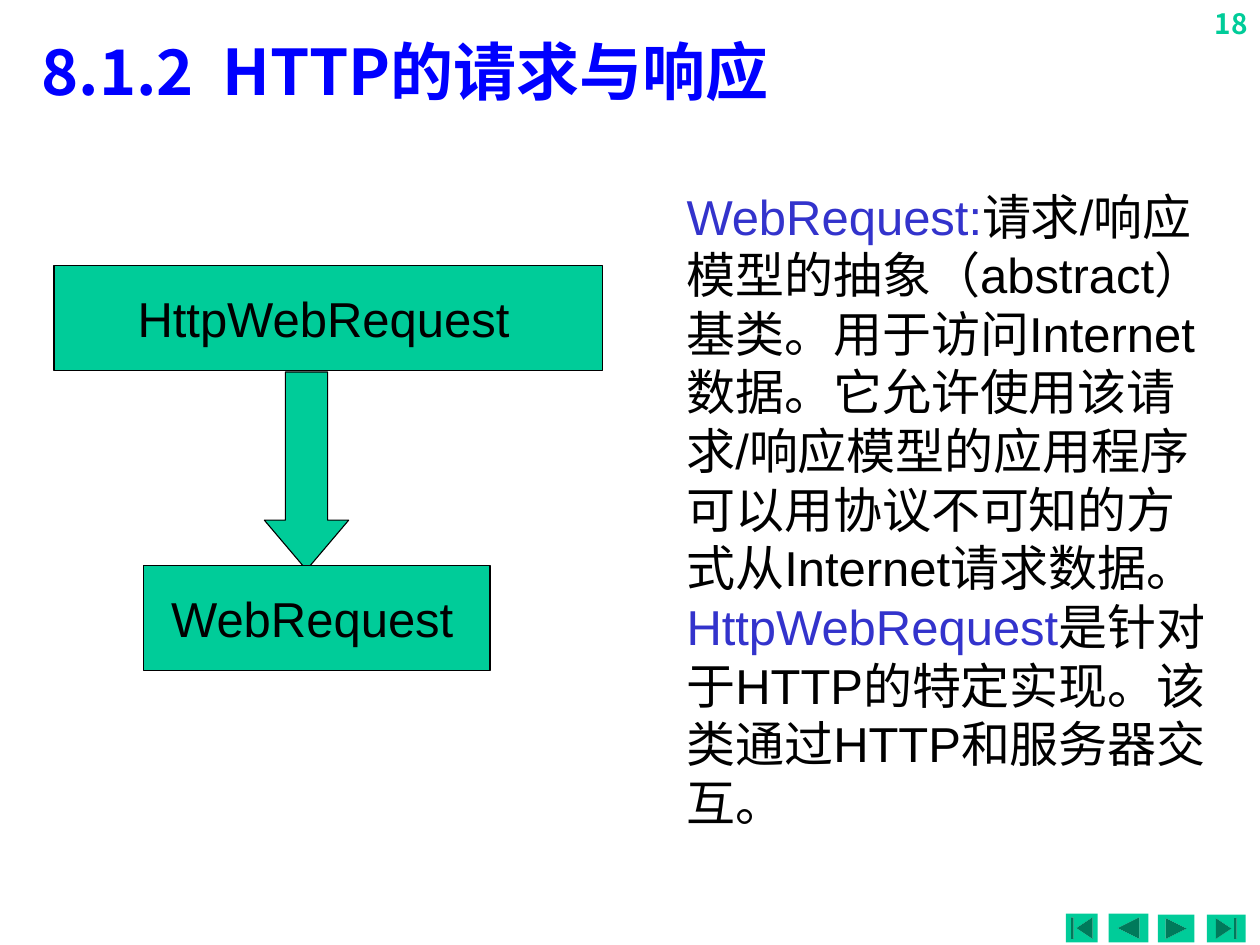
from dataclasses import dataclass

import pptx
import pptx.dml.color
import pptx.enum.lang
import pptx.enum.shapes
import pptx.enum.text
import pptx.oxml
import pptx.oxml.ns
import pptx.util

Cm = pptx.util.Cm
Pt = pptx.util.Pt
MSO_SHAPE = pptx.enum.shapes.MSO_SHAPE
PP_ALIGN = pptx.enum.text.PP_ALIGN
MSO_ANCHOR = pptx.enum.text.MSO_ANCHOR
MSO_AUTO_SIZE = pptx.enum.text.MSO_AUTO_SIZE

GREEN = "00CC99"
BLACK = "000000"
TERM_BLUE = "3333CC"
TITLE_BLUE = "0000FF"
LATIN_FONT = "Arial"
CHINESE_FONT = "Noto Sans CJK SC"
NUMBER_FONT = "Noto Sans CJK KR"


@dataclass
class Block:
    """A preset shape with its place in centimetres."""
    kind: int
    left: float
    top: float
    width: float
    height: float
    label: str = ""
    outlined: bool = True


@dataclass
class Definition:
    term: str
    explanation: str


BLOCKS = [
    Block(MSO_SHAPE.RECTANGLE, 1.09, 5.36, 11.05, 2.11, "HttpWebRequest"),
    Block(MSO_SHAPE.DOWN_ARROW, 5.33, 7.5, 1.7, 3.99),
    Block(MSO_SHAPE.RECTANGLE, 2.9, 11.4, 6.98, 2.11, "WebRequest"),
]

NAVIGATION = [
    Block(MSO_SHAPE.ACTION_BUTTON_BEGINNING, 21.49, 18.42, 0.64, 0.58, outlined=False),
    Block(MSO_SHAPE.ACTION_BUTTON_BACK_OR_PREVIOUS, 22.35, 18.42, 0.8, 0.58, outlined=False),
    Block(MSO_SHAPE.ACTION_BUTTON_FORWARD_OR_NEXT, 23.34, 18.44, 0.74, 0.56, outlined=False),
    Block(MSO_SHAPE.ACTION_BUTTON_END, 24.33, 18.44, 0.78, 0.56, outlined=False),
]

DEFINITIONS = [
    Definition("WebRequest:", "请求/响应模型的抽象（abstract）基类。用于访问Internet数据。"
               "它允许使用该请求/响应模型的应用程序可以用协议不可知的方式从Internet请求数据。"),
    Definition("HttpWebRequest", "是针对于HTTP的特定实现。该类通过HTTP和服务器交互。"),
]


def color(value: str) -> pptx.dml.color.RGBColor:
    return pptx.dml.color.RGBColor.from_string(value)


def add_run(paragraph, text: str, size: float, font_name: str, text_color: str,
            bold: bool = False) -> None:
    run = paragraph.add_run()
    run.text = text
    font = run.font
    font.size = Pt(size)
    font.bold = bold
    font.color.rgb = color(text_color)
    font.name = font_name
    font.language_id = pptx.enum.lang.MSO_LANGUAGE_ID.SIMPLIFIED_CHINESE
    # East Asian characters take the same typeface
    east_asian = pptx.oxml.parse_xml(
        f'<a:ea {pptx.oxml.ns.nsdecls("a")} typeface="{font_name}"/>')
    run._r.rPr.find(pptx.oxml.ns.qn("a:latin")).addnext(east_asian)


def add_block(slide, block: Block):
    shape = slide.shapes.add_shape(block.kind, Cm(block.left), Cm(block.top),
                                   Cm(block.width), Cm(block.height))
    shape.shadow.inherit = False
    shape.fill.solid()
    shape.fill.fore_color.rgb = color(GREEN)
    if block.outlined:
        shape.line.color.rgb = color(BLACK)
        shape.line.width = Pt(0.62)
    else:
        shape.line.fill.background()
    if block.label:
        frame = shape.text_frame
        frame.word_wrap = False
        frame.vertical_anchor = MSO_ANCHOR.MIDDLE
        paragraph = frame.paragraphs[0]
        paragraph.alignment = PP_ALIGN.CENTER
        add_run(paragraph, block.label, 28, LATIN_FONT, BLACK)
        add_run(paragraph, " ", 24, CHINESE_FONT, BLACK)
    return shape


def add_text_frame(slide, left: float, top: float, width: float, height: float):
    box = slide.shapes.add_textbox(Cm(left), Cm(top), Cm(width), Cm(height))
    box.text_frame.word_wrap = True
    return box.text_frame


def main() -> None:
    presentation = pptx.Presentation()
    presentation.slide_width = Cm(25.4)
    presentation.slide_height = Cm(19.05)
    slide = presentation.slides.add_slide(presentation.slide_layouts[5])
    for placeholder in list(slide.placeholders):
        if placeholder.placeholder_format.idx != 0:
            placeholder.element.getparent().remove(placeholder.element)

    # Slide number and navigation buttons
    number = add_text_frame(slide, 24, 0, 1.4, 1.02).paragraphs[0]
    number.alignment = PP_ALIGN.RIGHT
    add_run(number, "18", 16, NUMBER_FONT, GREEN, bold=True)
    for button in NAVIGATION:
        add_block(slide, button)

    # Title
    title = slide.shapes.title
    title.left, title.top = Cm(0.58), Cm(0.48)
    title.width, title.height = Cm(24.18), Cm(1.88)
    title.text_frame.auto_size = MSO_AUTO_SIZE.NONE
    title.text_frame.vertical_anchor = MSO_ANCHOR.MIDDLE
    heading = title.text_frame.paragraphs[0]
    heading.alignment = PP_ALIGN.LEFT
    add_run(heading, "8.1.2  HTTP的请求与响应", 36, CHINESE_FONT, TITLE_BLUE, bold=True)

    # Inheritance diagram
    _, arrow, _ = [add_block(slide, block) for block in BLOCKS]
    arrow.adjustments[0] = 0.5
    arrow.adjustments[1] = 0.59

    # Class definitions
    frame = add_text_frame(slide, 13.59, 3.63, 11.25, 14.5)
    for index, definition in enumerate(DEFINITIONS):
        paragraph = frame.add_paragraph() if index else frame.paragraphs[0]
        paragraph.line_spacing = Pt(33.5)
        add_run(paragraph, definition.term, 28, LATIN_FONT, TERM_BLUE)
        add_run(paragraph, definition.explanation, 28, LATIN_FONT, BLACK)

    presentation.save("out.pptx")


if __name__ == "__main__":
    main()
